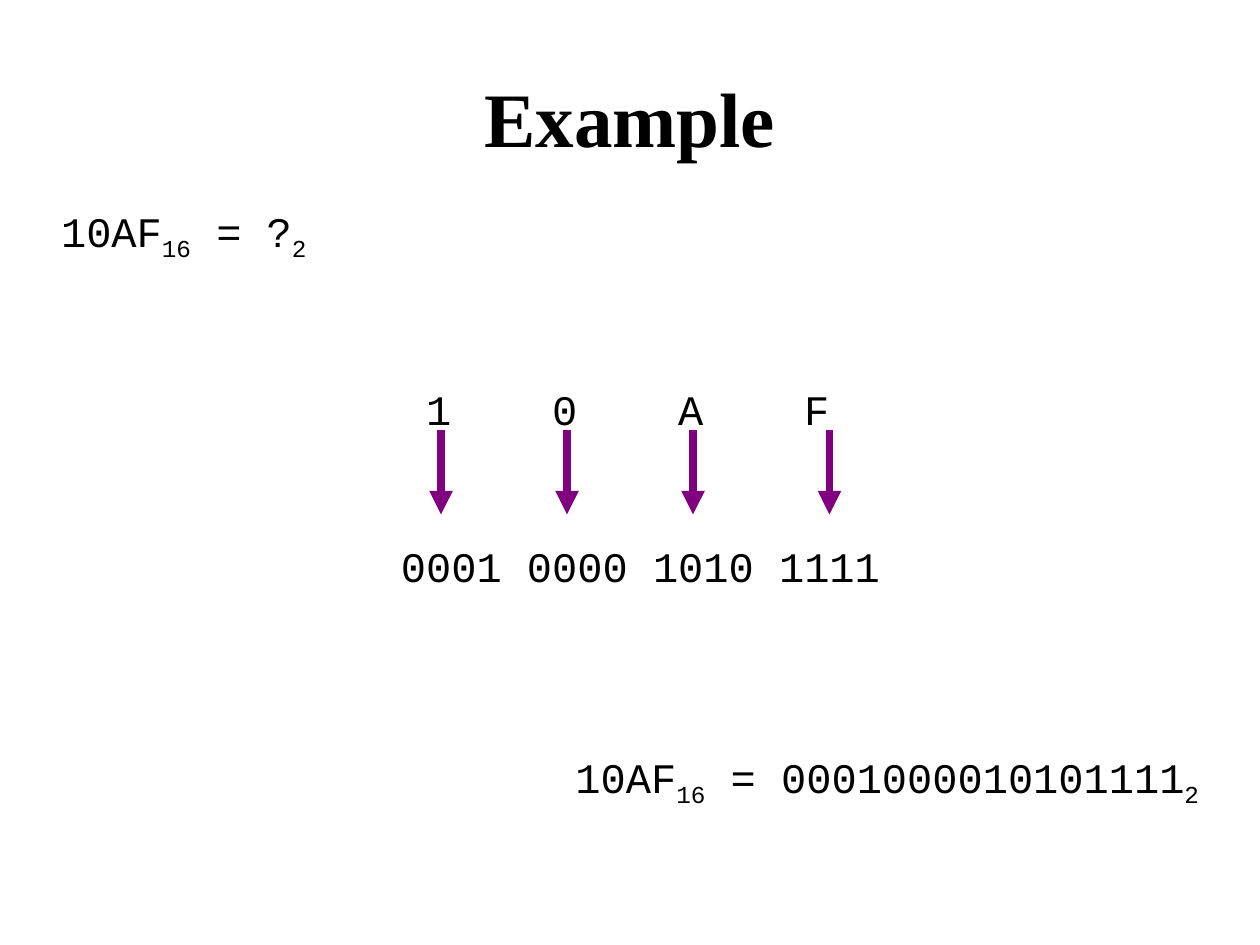
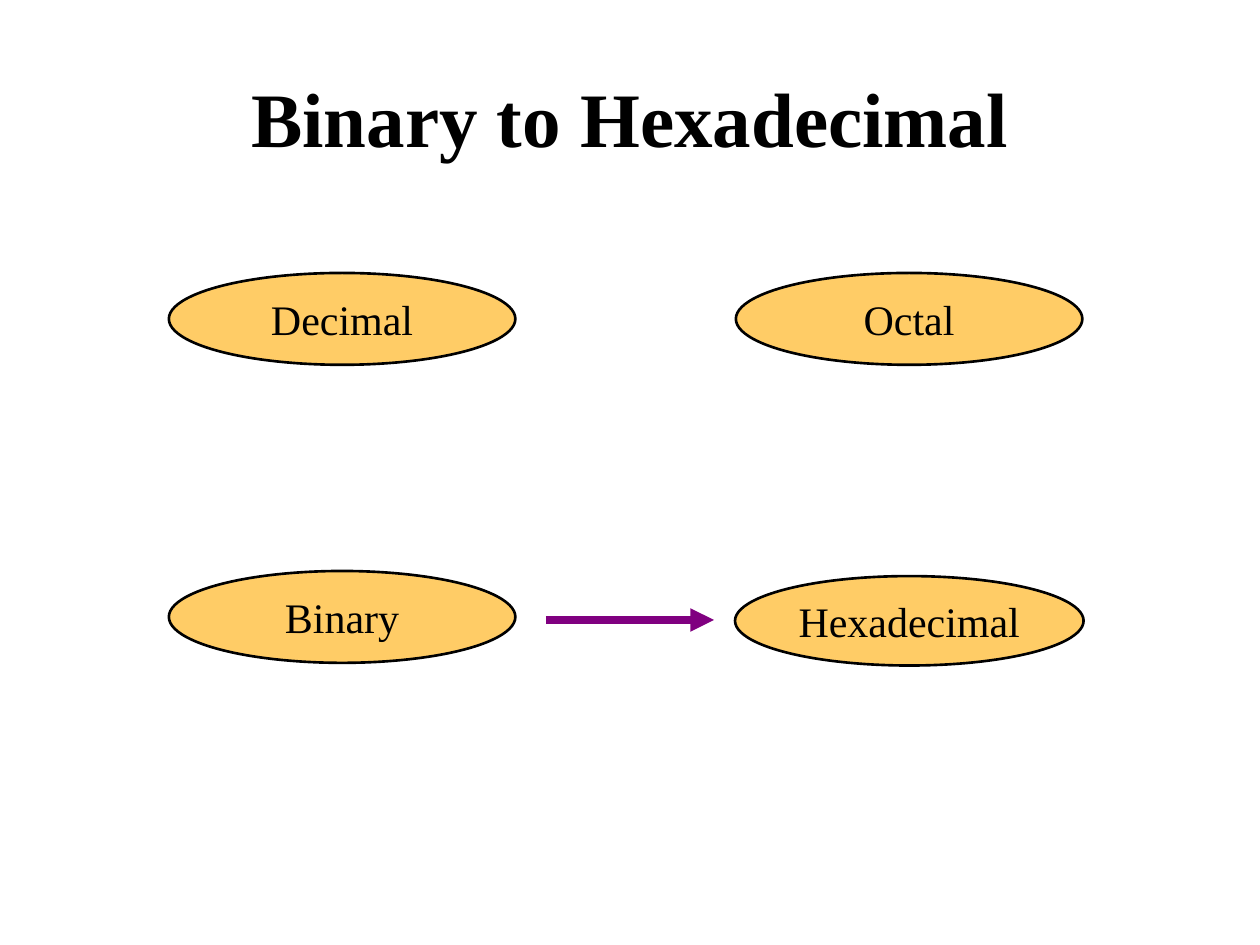
"""Build two slides on converting between hexadecimal and binary."""
from lxml import etree
from pptx import Presentation
from pptx.dml.color import RGBColor
from pptx.enum.shapes import MSO_CONNECTOR, MSO_SHAPE
from pptx.enum.text import MSO_ANCHOR, PP_ALIGN
from pptx.oxml.ns import qn
from pptx.util import Pt

BLACK = RGBColor(0x00, 0x00, 0x00)
PURPLE = RGBColor(0x80, 0x00, 0x80)
GOLD = RGBColor(0xFF, 0xCC, 0x66)
SERIF = "Times New Roman"
MONO = "Courier New"
LEFT, CENTER = PP_ALIGN.LEFT, PP_ALIGN.CENTER
MIDDLE = MSO_ANCHOR.MIDDLE
LINE = MSO_CONNECTOR.STRAIGHT
OVAL = MSO_SHAPE.OVAL
CHAR = 14.4
STEP = 5 * CHAR


def style(para, face, size=24, bold=False, align=CENTER):
    para.alignment = align
    for run in para.runs:
        font = run.font
        font.name, font.size, font.bold = face, Pt(size), bold
        font.color.rgb = BLACK


def add_box(slide, box, top=3.6):
    frame = slide.shapes.add_textbox(*map(Pt, box)).text_frame
    frame.word_wrap = True
    frame.margin_top = Pt(top)
    return frame


def add_title(slide, text):
    frame = add_box(slide, (36, 21.6, 648, 90))
    frame.vertical_anchor = MIDDLE
    frame.text = text
    style(frame.paragraphs[0], SERIF, 44, True)


def add_arrow(slide, start, end):
    arrow = slide.shapes.add_connector(LINE, *map(Pt, start + end))
    arrow.line.color.rgb = PURPLE
    arrow.line.width = Pt(4.5)
    props = arrow.line._get_or_add_ln()
    etree.SubElement(props, qn("a:tailEnd"), type="triangle")
    etree.SubElement(arrow._element.spPr, qn("a:effectLst"))


def add_sum(slide, box, value):
    """Write 10AF in base 16 as equal to a value in base 2."""
    para = add_box(slide, box, 9.3).paragraphs[0]
    for text in ("10AF", "16", f" = {value}", "2"):
        para.add_run().text = text
    style(para, MONO)
    for run in para.runs[1::2]:
        run._r.get_or_add_rPr().set("baseline", "-25000")


def add_digits(slide, box):
    """Map each hexadecimal digit to its four bits."""
    left, top = box[:2]
    frame = add_box(slide, box, 9.3)
    frame.text = "\t1\t0\tA\tF\n0001 0000 1010 1111"
    digits, bits = frame.paragraphs
    tabs = etree.SubElement(digits._p.get_or_add_pPr(), qn("a:tabLst"))
    for i in range(4):
        stop = Pt(CHAR + i * STEP)
        etree.SubElement(tabs, qn("a:tab"), pos=str(stop), algn="l")
    bits.space_before = Pt(60.8)
    for para in frame.paragraphs:
        style(para, MONO, align=LEFT)
    for shift in (30, 102, 174, 252):
        x = left + shift
        add_arrow(slide, (x, top + 36), (x, top + 84))


def add_oval(slide, text, box):
    oval = slide.shapes.add_shape(OVAL, *map(Pt, box))
    oval.shadow.inherit = False
    oval.fill.solid()
    oval.fill.fore_color.rgb = GOLD
    oval.line.color.rgb = BLACK
    oval.line.width = Pt(1.5)
    frame = oval.text_frame
    frame.word_wrap = False
    frame.vertical_anchor = MIDDLE
    frame.text = text
    style(frame.paragraphs[0], SERIF)


def add_map(slide, box):
    """Place the four number systems and the arrow between two of them."""
    left, top, width, height = box
    right, low = left + width - 198, top + height - 52.5
    add_oval(slide, "Hexadecimal", (right - 0.5, low + 2.9, 199.2, 51.1))
    for text, x, y in (("Decimal", left, top), ("Octal", right, top),
                       ("Binary", left, low)):
        add_oval(slide, text, (x, y, 198, 52.5))
    y = low + 28
    add_arrow(slide, (left + 215.5, y), (right - 12.5, y))


def main():
    deck = Presentation()
    deck.slide_width, deck.slide_height = Pt(720), Pt(540)
    blank = deck.slide_layouts[6]

    slide = deck.slides.add_slide(blank)
    add_title(slide, "Example")
    add_sum(slide, (24, 108, 162, 40.3), "?")
    add_digits(slide, (222, 210, 300, 124))
    add_sum(slide, (318, 420, 378, 40.3), "0001000010101111")

    slide = deck.slides.add_slide(blank)
    add_title(slide, "Binary to Hexadecimal")
    add_map(slide, (96.5, 156, 522, 222.8))

    deck.save("out.pptx")


if __name__ == "__main__":
    main()
